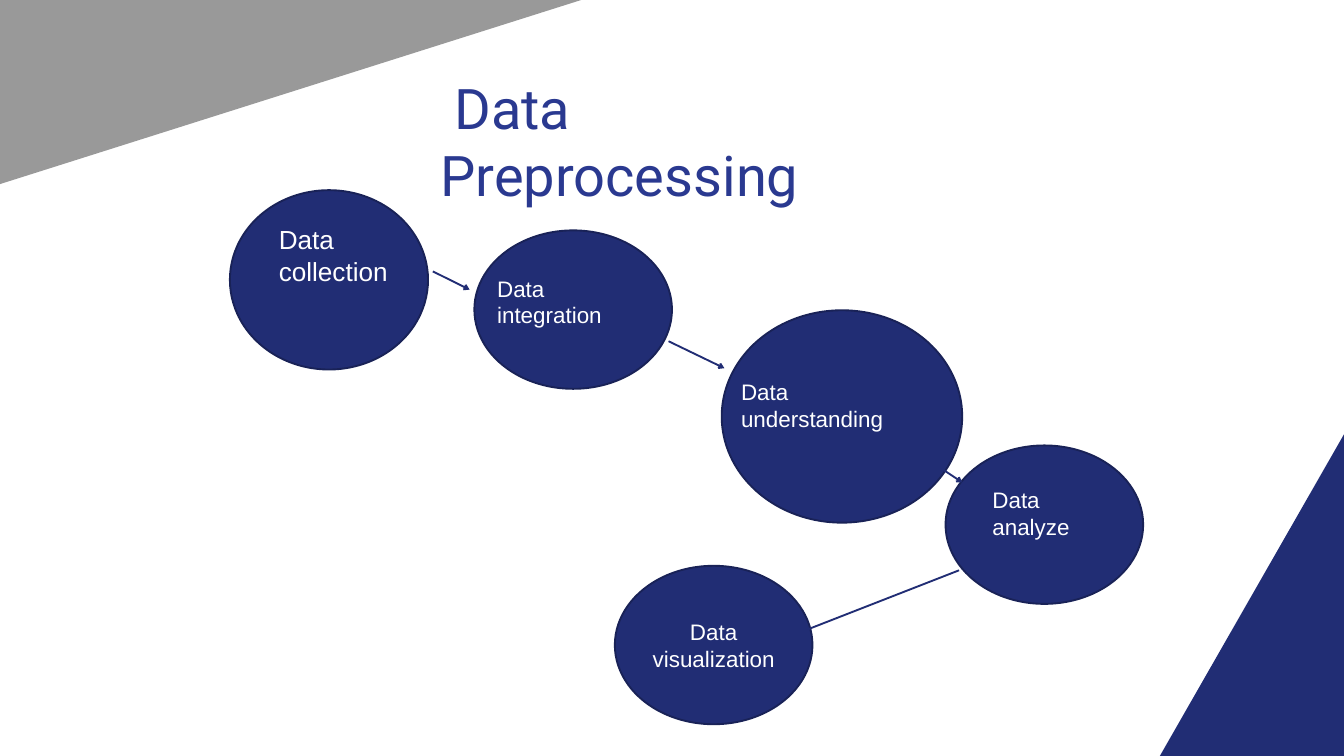
import dataclasses

import pptx
import pptx.dml.color
import pptx.enum.shapes
import pptx.enum.text
import pptx.oxml
import pptx.oxml.ns
import pptx.util

Cm = pptx.util.Cm
Pt = pptx.util.Pt
Align = pptx.enum.text.PP_ALIGN
Anchor = pptx.enum.text.MSO_ANCHOR
Shape = pptx.enum.shapes.MSO_SHAPE


@dataclasses.dataclass(frozen=True)
class Theme:
    navy: str = "212D74"
    edge: str = "192257"
    gray: str = "999999"
    head: str = "2A3990"
    white: str = "FFFFFF"
    title: int = 60
    large: int = 28
    body: int = 24
    line: int = 2
    face: str = "Arial"
    display: str = "Roboto"


THEME = Theme()

STEPS = [
    ("Data integration", (17.93, 8.71, 7.47, 5.99), (0.61, 1.55, 6.2, 3.33), THEME.body),
    ("Data understanding", (27.28, 11.73, 9.09, 8.03), (0.48, 2.44, 7.16, 2.31), THEME.body),
    ("Data analyze", (35.74, 16.84, 7.47, 5.99), (1.52, 1.4, 4.7, 2.31), THEME.body),
    ("Data visualization", (23.24, 21.39, 7.47, 5.99), None, THEME.body),
    ("Data collection", (8.69, 7.19, 7.49, 6.78), (1.6, 1.14, 4.9, 2.64), THEME.large),
]

LINKS = [
    ((16.36, 10.26, 17.75, 10.95), True),
    ((25.27, 12.9, 27.38, 13.92), True),
    ((35.61, 17.73, 36.37, 18.24), True),
    ((36.25, 21.56, 30.18, 23.93), False),
]


def rgb(code):
    return pptx.dml.color.RGBColor.from_string(code)


def paint(shape, fill, edge=None):
    shape.shadow.inherit = False
    shape.fill.solid()
    shape.fill.fore_color.rgb = rgb(fill)
    if edge:
        shape.line.color.rgb = rgb(edge)
        shape.line.width = Pt(THEME.line)
    else:
        shape.line.fill.background()


def write(frame, text, size, color, face, align=Align.LEFT, anchor=Anchor.TOP):
    frame.word_wrap = True
    frame.auto_size = pptx.enum.text.MSO_AUTO_SIZE.NONE
    frame.vertical_anchor = anchor
    para = frame.paragraphs[0]
    para.text = text
    para.alignment = align
    para.font.size = Pt(size)
    para.font.name = face
    para.font.color.rgb = rgb(color)


def add_corner(slide, box, turn, fill):
    left, top, width, height = box
    shift = (width - height) / 2
    shape = slide.shapes.add_shape(
        Shape.RIGHT_TRIANGLE, Cm(left + shift), Cm(top - shift), Cm(height), Cm(width))
    shape.rotation = turn
    paint(shape, fill)


def add_title(slide, box, text):
    title = slide.shapes.title
    title.left, title.top, title.width, title.height = map(Cm, box)
    frame = title.text_frame
    frame.margin_left = frame.margin_right = Cm(0.5)
    frame.margin_top = frame.margin_bottom = Cm(0.5)
    write(frame, text, THEME.title, THEME.head, THEME.display)


def add_step(slide, box, text, inner, size):
    oval = slide.shapes.add_shape(Shape.OVAL, *map(Cm, box))
    paint(oval, THEME.navy, THEME.edge)
    if inner is None:
        write(oval.text_frame, text, size, THEME.white, THEME.face,
              Align.CENTER, Anchor.MIDDLE)
        return
    left, top, width, height = inner
    label = slide.shapes.add_textbox(
        Cm(box[0] + left), Cm(box[1] + top), Cm(width), Cm(height))
    write(label.text_frame, text, size, THEME.white, THEME.face)


def add_link(slide, ends, arrow):
    link = slide.shapes.add_connector(
        pptx.enum.shapes.MSO_CONNECTOR.STRAIGHT, *map(Cm, ends))
    link.line.color.rgb = rgb(THEME.navy)
    link.line.width = Pt(THEME.line)
    if arrow:
        tail = pptx.oxml.parse_xml(
            f'<a:tailEnd {pptx.oxml.ns.nsdecls("a")} type="arrow"/>')
        link.line._get_or_add_ln().append(tail)
    props = link._element.spPr
    props.append(pptx.oxml.parse_xml(
        f'<a:effectLst {pptx.oxml.ns.nsdecls("a")}/>'))


def main():
    deck = pptx.Presentation()
    deck.slide_width = Cm(50.8)
    deck.slide_height = Cm(28.58)
    slide = deck.slides.add_slide(deck.slide_layouts[5])
    add_corner(slide, (0, 0, 21.97, 6.96), 90, THEME.gray)
    add_corner(slide, (43.84, 16.42, 6.96, 12.16), 270, THEME.navy)
    add_title(slide, (16.15, 2.26, 19.56, 3.18), " Data Preprocessing")
    for text, box, inner, size in STEPS:
        add_step(slide, box, text, inner, size)
    for ends, arrow in LINKS:
        add_link(slide, ends, arrow)
    deck.save("out.pptx")


if __name__ == "__main__":
    main()
